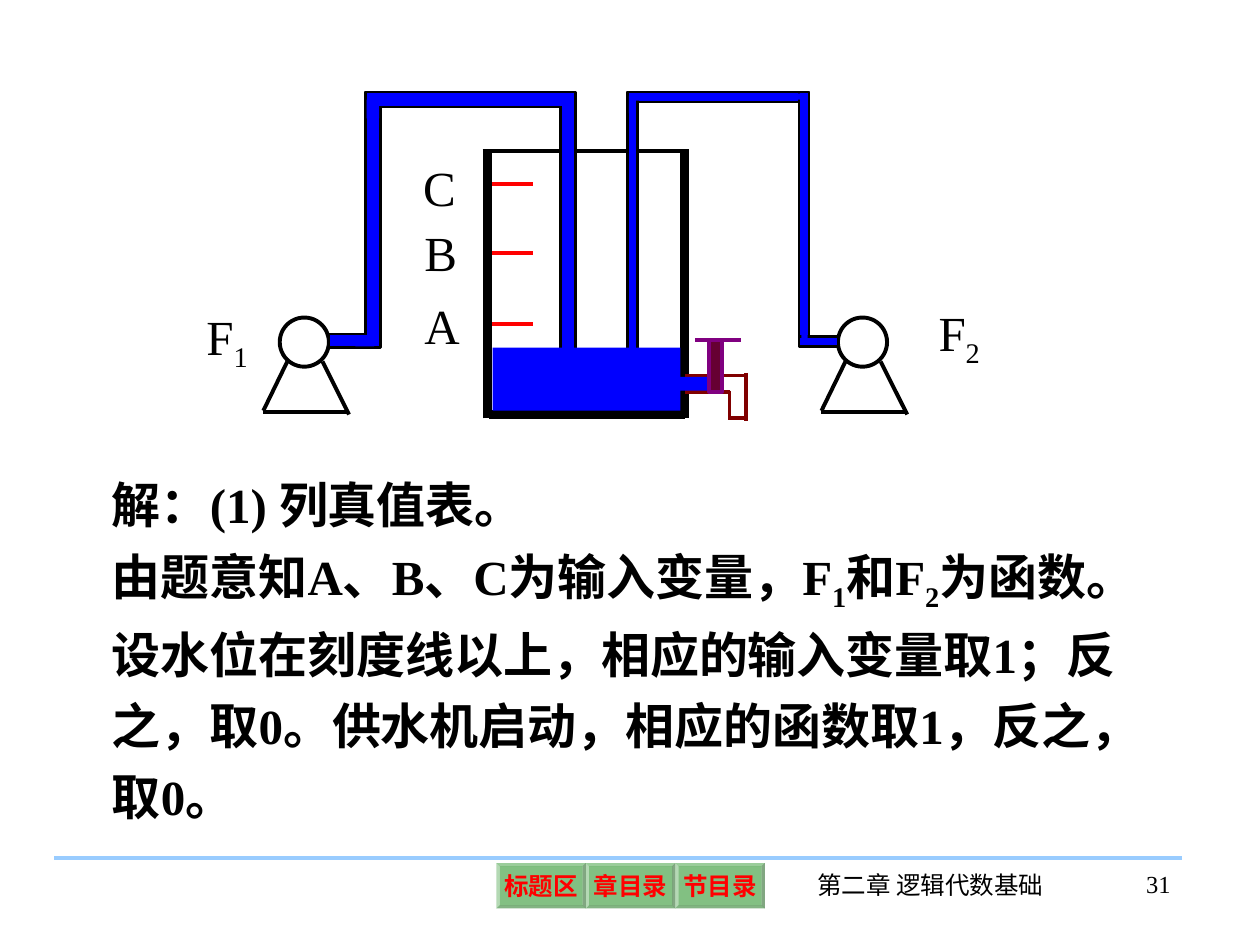
from pptx import Presentation
from pptx.dml.color import RGBColor
from pptx.enum.shapes import MSO_CONNECTOR, MSO_SHAPE
from pptx.enum.text import MSO_ANCHOR, PP_ALIGN
from pptx.oxml.ns import qn
from pptx.util import Pt
from lxml import etree

PX = 9144
rgb = RGBColor.from_string


def add_shape(kind, x, y, w, h, fill=None, line=None, width=1.5):
    sp = s.shapes.add_shape(kind, x * PX, y * PX, w * PX, h * PX)
    sp.shadow.inherit = False
    if fill:
        sp.fill.solid()
        sp.fill.fore_color.rgb = rgb(fill)
    else:
        sp.fill.background()
    if line:
        sp.line.color.rgb = rgb(line)
        sp.line.width = Pt(width)
    else:
        sp.line.fill.background()
    return sp


def add_text(p, text, size, color="000000", bold=False):
    for i, part in enumerate(text.split("_")):
        for piece, base in ((part[:1], "-25000"), (part[1:], None)) if i else ((part, None),):
            if not piece:
                continue
            r = p.add_run()
            r.text = piece
            style = {"name": "Times New Roman", "size": Pt(size), "bold": bold}
            for key, value in style.items():
                setattr(r.font, key, value)
            r.font.color.rgb = rgb(color)
            if base:
                r.font._element.set("baseline", base)


prs = Presentation()
prs.slide_width, prs.slide_height = 1000 * PX, 750 * PX
s = prs.slides.add_slide(prs.slide_layouts[6])

pumps = [209, 652]
lines = [(43, 681, 938, 681, "99CCFF", 2.25)]
lines += [(388, y, 423, y, "FF0000", 2.25) for y in (257, 201, 146)]
for x in pumps:
    lines += [
        (x, 327, x + 68, 327, "000000", 2.25),
        (x + 19, 287, x, 326, "000000", 2.25),
        (x + 47, 287, x + 68, 329, "000000", 2.25),
    ]
lines += [
    (552, 270, 588, 270, "800080", 2.25),
    (388, 329, 544, 329, "000000", 5),
    (387, 332, 387, 118, "000000", 5),
    (543, 332, 543, 118, "000000", 5),
    (383, 120, 544, 120, "000000", 2.25),
    (544, 311, 579, 311, "800000", 2.25),
    (544, 298, 592, 298, "800000", 2.25),
    (579, 310, 579, 333, "800000", 2.25),
    (592, 296, 592, 334, "800000", 2.25),
    (579, 332, 592, 332, "800000", 2.25),
]
for x1, y1, x2, y2, color, width in lines:
    c = s.shapes.add_connector(MSO_CONNECTOR.STRAIGHT, x1 * PX, y1 * PX, x2 * PX, y2 * PX)
    c.line.color.rgb = rgb(color)
    c.line.width = Pt(width)
    etree.SubElement(c._element.spPr, qn("a:effectLst"))

for x in pumps:
    add_shape(MSO_SHAPE.OVAL, x + 13, 252, 39, 39, line="000000", width=2.25)

add_shape(MSO_SHAPE.RECTANGLE, 563, 270, 10, 41, "660033", "800080", 2.25)

pipes = [
    (261, 265, 40, 11), (290, 73, 12, 203), (290, 73, 166, 12),
    (498, 73, 144, 8), (634, 73, 8, 200), (634, 267, 31, 8),
    (445, 73, 12, 248), (498, 73, 8, 250),
]
water = [
    (539, 299, 22, 11), (282, 266, 15, 9), (291, 79, 10, 15),
    (499, 76, 5, 14), (629, 74, 9, 5), (636, 259, 5, 11),
    (391, 276, 149, 50), (436, 74, 15, 10), (502, 74, 12, 6),
]
for group, outline in ((pipes, "000000"), (water, None)):
    for rect in group:
        add_shape(MSO_SHAPE.RECTANGLE, *rect, "0000FF", outline)

body = [
    "解：(1) 列真值表。",
    "由题意知A、B、C为输入变量，F_1和F_2为函数。设水位在刻度线以上，"
    "相应的输入变量取1；反之，取0。供水机启动，相应的函数取1，反之，取0。",
]
texts = [
    (327, 230, 39, 57, ["A"], 28, False, PP_ALIGN.LEFT, 1),
    (327, 172, 39, 57, ["B"], 28, False, PP_ALIGN.LEFT, 1),
    (326, 120, 39, 57, ["C"], 28, False, PP_ALIGN.LEFT, 1),
    (154, 238, 68, 63, ["F_1"], 28, False, PP_ALIGN.LEFT, 1),
    (735, 235, 68, 63, ["F_2"], 28, False, PP_ALIGN.LEFT, 1),
    (79, 362, 847, 298, body, 28, True, PP_ALIGN.LEFT, 1.2),
    (625, 686, 227, 50, ["第二章 逻辑代数基础"], 14, False, PP_ALIGN.CENTER, 1),
    (853, 685, 86, 50, ["31"], 14, False, PP_ALIGN.RIGHT, 1),
]
for x, y, w, h, paras, size, bold, align, spacing in texts:
    tf = s.shapes.add_textbox(x * PX, y * PX, w * PX, h * PX).text_frame
    tf.word_wrap = True
    for i, text in enumerate(paras):
        p = tf.add_paragraph() if i else tf.paragraphs[0]
        p.alignment = align
        p.line_spacing = spacing
        add_text(p, text, size, bold=bold)

for i, label in enumerate(["标题区", "章目录", "节目录"]):
    sp = add_shape(MSO_SHAPE.BEVEL, 394 + i * 71, 685, 71, 36, "008000")
    sp.adjustments[0] = 0.07
    color = sp._element.spPr.find(qn("a:solidFill"))[0]
    etree.SubElement(color, qn("a:alpha"), val="49000")
    tf = sp.text_frame
    frame = {"word_wrap": False, "vertical_anchor": MSO_ANCHOR.MIDDLE}
    frame |= {f"margin_{side}": 4 * PX for side in ("left", "top", "right", "bottom")}
    for key, value in frame.items():
        setattr(tf, key, value)
    p = tf.paragraphs[0]
    p.alignment = PP_ALIGN.CENTER
    add_text(p, label, 14, "FF0000", True)

prs.save("out.pptx")
